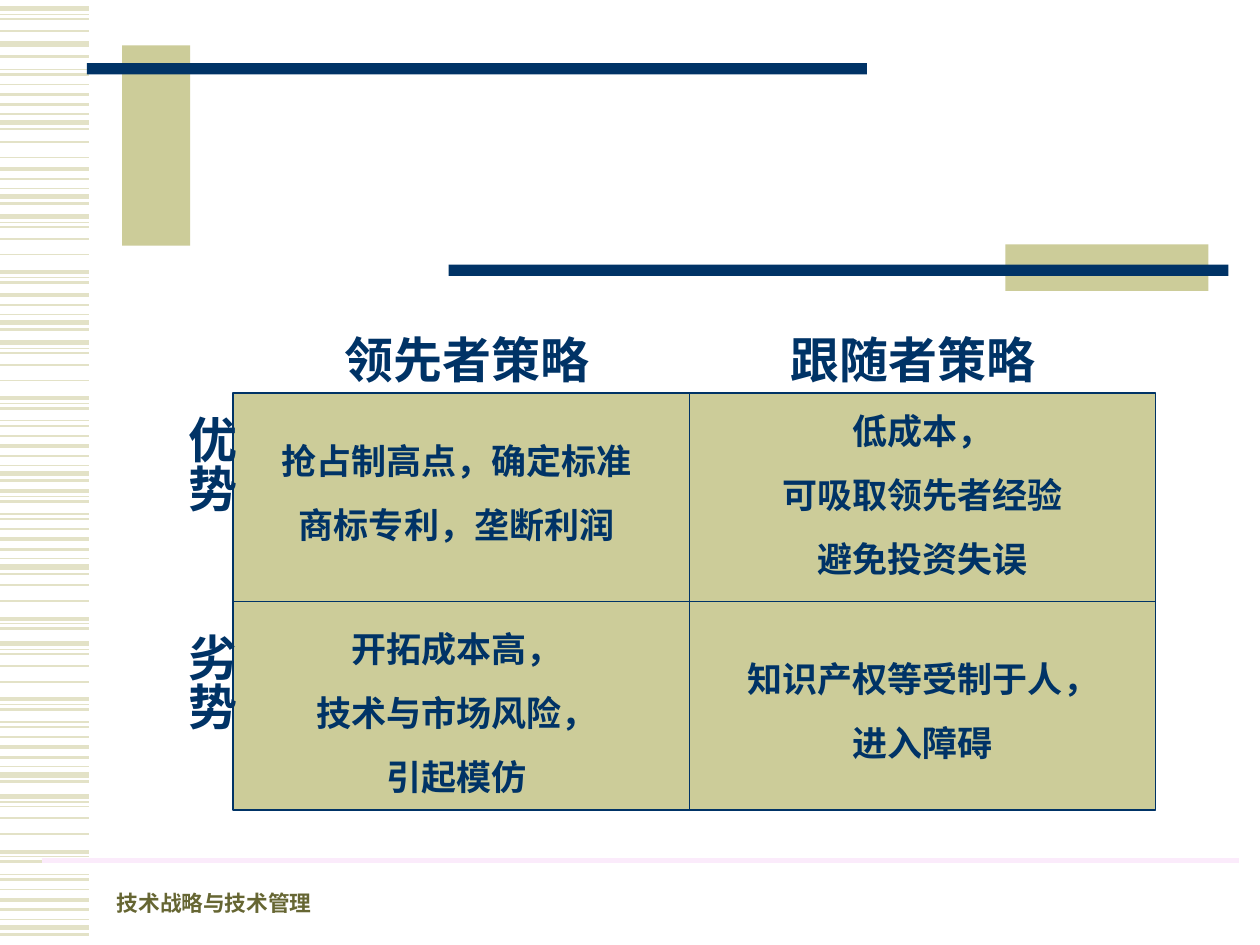
from dataclasses import dataclass

from lxml import etree
from pptx import Presentation
from pptx.dml.color import RGBColor
from pptx.enum.shapes import MSO_CONNECTOR, MSO_SHAPE
from pptx.enum.text import MSO_ANCHOR, MSO_AUTO_SIZE, PP_ALIGN
from pptx.oxml.ns import qn
from pptx.util import Inches, Pt

RECTANGLE, STRAIGHT = MSO_SHAPE.RECTANGLE, MSO_CONNECTOR.STRAIGHT
TOP, BOTTOM = MSO_ANCHOR.TOP, MSO_ANCHOR.BOTTOM
LEFT, CENTER = PP_ALIGN.LEFT, PP_ALIGN.CENTER
GROW, FIXED = MSO_AUTO_SIZE.SHAPE_TO_FIT_TEXT, MSO_AUTO_SIZE.NONE

# The slide is a grid of 100 columns by 75 rows
COLUMNS, ROWS, CELL = 100, 75, 0.1
FONT = "Times New Roman"
NAVY, SAND, STRIPE, OLIVE, PINK = "003366", "CCCC99", "E3E2C7", "666633", "FBEBFB"


@dataclass
class Area:
    column: float
    row: float
    columns: float
    rows: float


@dataclass
class Label:
    area: Area
    lines: tuple[str, ...]
    size: float
    color: str = NAVY
    align: PP_ALIGN = CENTER
    anchor: MSO_ANCHOR = TOP
    vertical: bool = False
    grows: bool = True


@dataclass
class StripeRun:
    """Part of the stripe pattern, with the pattern's origin at a row."""
    row: float
    first: int = 0
    end: int = 16


# Row offset and weight of each stripe in the pattern
PATTERN = [
    (0, 3), (0.45, 0.75), (0.8, 1), (1.75, 1), (3, 1), (4.4, 2.25),
    (4.8, 0.75), (5.2, 1.5), (6.2, 0.75), (6.6, 1.5), (7.4, 1),
    (8.2, 2.25), (9, 1.5), (9.75, 0.75), (10.4, 3), (10.95, 1.5),
]
STRIPE_RUNS = [
    StripeRun(0.7, end=4), StripeRun(3.5, end=1), StripeRun(-0.7, first=7),
    StripeRun(9.5, 3, 5), StripeRun(5.2, first=11), StripeRun(17.2, end=8),
    StripeRun(15.2, first=11), StripeRun(27.2), StripeRun(34.6, first=5),
    StripeRun(44.7, 3, 8), StripeRun(51.1), StripeRun(63.2),
]
ORNAMENTS = [
    (Area(9.7, 3.6, 5.4, 15.9), SAND), (Area(6.9, 5, 61.9, 0.9), NAVY),
    (Area(79.8, 19.4, 16.1, 3.7), SAND), (Area(35.6, 21, 61.9, 0.9), NAVY),
]

# Strategy matrix: frame and inner dividers
MATRIX = Area(18.5, 31.2, 73.2, 33.1)
MATRIX_RIGHT = MATRIX.column + MATRIX.columns
MATRIX_BOTTOM = MATRIX.row + MATRIX.rows
SPLIT_COLUMN, SPLIT_ROW = 54.7, MATRIX.row + MATRIX.rows / 2

LEADER, FOLLOWER, BOX_WIDTH = 20.1, 57.1, 32.3
LABELS = [
    Label(Area(8.3, 69.8, 26, 3.4), ("技术战略与技术管理",), 12.4, OLIVE,
          LEFT, BOTTOM, grows=False),
    Label(Area(LEADER, 34.4, BOX_WIDTH, 9.4),
          ("抢占制高点，确定标准", "商标专利，垄断利润"), 20),
    Label(Area(FOLLOWER, 32, BOX_WIDTH, 14.5),
          ("低成本，", "可吸取领先者经验", "避免投资失误"), 20),
    Label(Area(FOLLOWER, 51.7, BOX_WIDTH, 9.4),
          ("知识产权等受制于人，", "进入障碍"), 20),
    Label(Area(LEADER, 49.3, BOX_WIDTH, 14.5),
          ("开拓成本高，", "技术与市场风险，", "引起模仿"), 20),
    Label(Area(20.9, 25.7, BOX_WIDTH, 5.7), ("领先者策略",), 28),
    Label(Area(56.3, 25.7, BOX_WIDTH, 5.7), ("跟随者策略",), 28),
    Label(Area(13, 32, 6.6, 15), ("优势",), 28, vertical=True),
    Label(Area(13, 49.3, 6.6, 15), ("劣势",), 28, vertical=True),
]


def grid(*counts: float) -> list[int]:
    return [Inches(count * CELL) for count in counts]


def place(area: Area) -> list[int]:
    return grid(area.column, area.row, area.columns, area.rows)


def rgb(color: str) -> RGBColor:
    return RGBColor.from_string(color)


def draw_line(slide, start: tuple, end: tuple, color: str, weight: float) -> None:
    line = slide.shapes.add_connector(STRAIGHT, *grid(*start, *end))
    line.line.color.rgb = rgb(color)
    line.line.width = Pt(weight)
    etree.SubElement(line._element.spPr, qn("a:effectLst"))


def draw_block(slide, area: Area, fill: str, outline: str | None = None) -> None:
    block = slide.shapes.add_shape(RECTANGLE, *place(area))
    block.shadow.inherit = False
    block.fill.solid()
    block.fill.fore_color.rgb = rgb(fill)
    if outline:
        block.line.color.rgb = rgb(outline)
        block.line.width = Pt(0.75)
    else:
        block.line.fill.background()


def draw_label(slide, label: Label) -> None:
    frame = slide.shapes.add_textbox(*place(label.area)).text_frame
    frame.word_wrap = True
    frame.auto_size = GROW if label.grows else FIXED
    frame.vertical_anchor = label.anchor
    if label.vertical:
        frame._txBody.bodyPr.set("vert", "eaVert")
        frame.margin_left = frame.margin_right = Inches(0.05)
        frame.margin_top = frame.margin_bottom = Inches(0.1)
    frame.text = "\n".join(label.lines)
    for para in frame.paragraphs:
        para.alignment = label.align
        if label.grows:
            para.space_before = Pt(label.size * 0.625)
        para.font.name = FONT
        para.font.size = Pt(label.size)
        para.font.bold = True
        para.font.color.rgb = rgb(label.color)


def main() -> None:
    deck = Presentation()
    deck.slide_width, deck.slide_height = grid(COLUMNS, ROWS)
    slide = deck.slides.add_slide(deck.slide_layouts[6])

    # Striped left margin
    for run in STRIPE_RUNS:
        for offset, weight in PATTERN[run.first:run.end]:
            row = run.row + offset
            draw_line(slide, (0, row), (7.1, row), STRIPE, weight)

    # Ornaments and footer rule
    for area, color in ORNAMENTS:
        draw_block(slide, area, color)
    draw_line(slide, (3.3, 68.3), (98.3, 68.3), PINK, 3)

    # Matrix
    draw_block(slide, MATRIX, SAND, NAVY)
    draw_line(slide, (MATRIX.column, SPLIT_ROW), (MATRIX_RIGHT, SPLIT_ROW), NAVY, 0.75)
    draw_line(slide, (SPLIT_COLUMN, MATRIX.row), (SPLIT_COLUMN, MATRIX_BOTTOM), NAVY, 0.75)

    # Footer, cell texts and headings
    for label in LABELS:
        draw_label(slide, label)

    deck.save("out.pptx")


if __name__ == "__main__":
    main()
